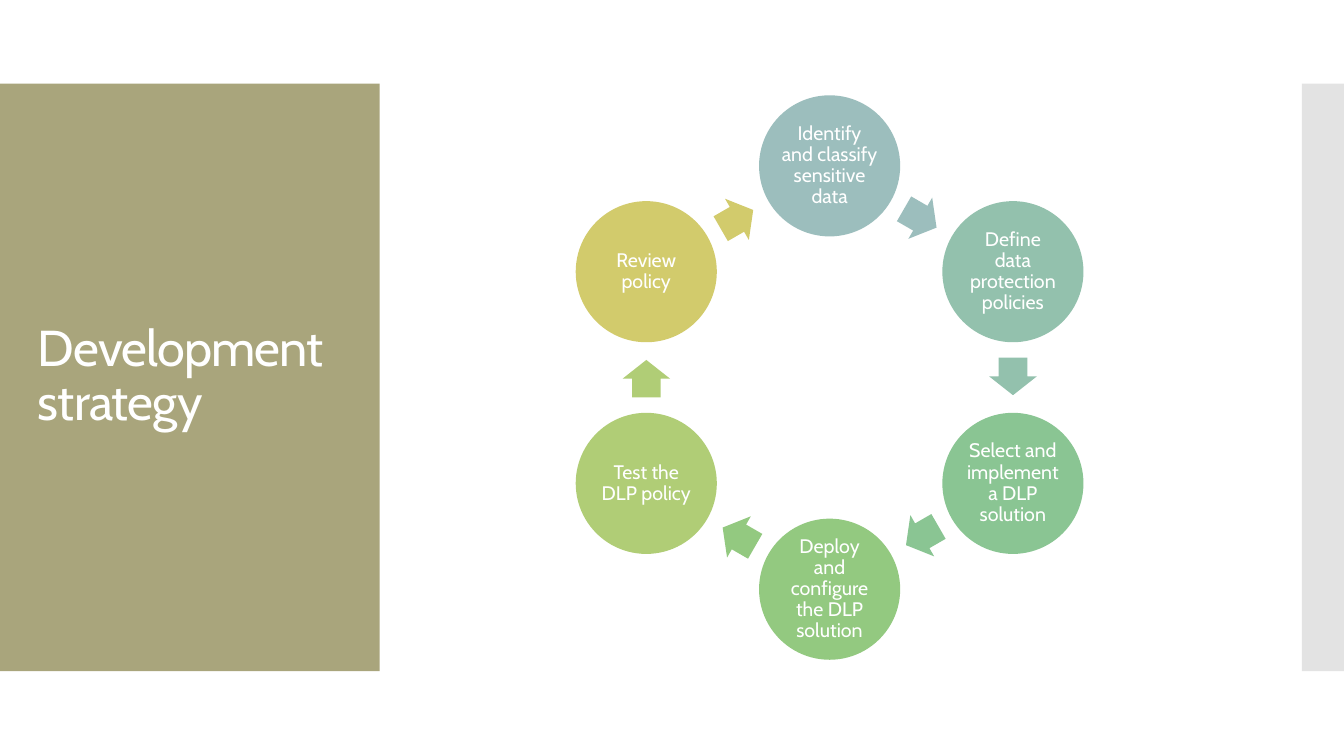
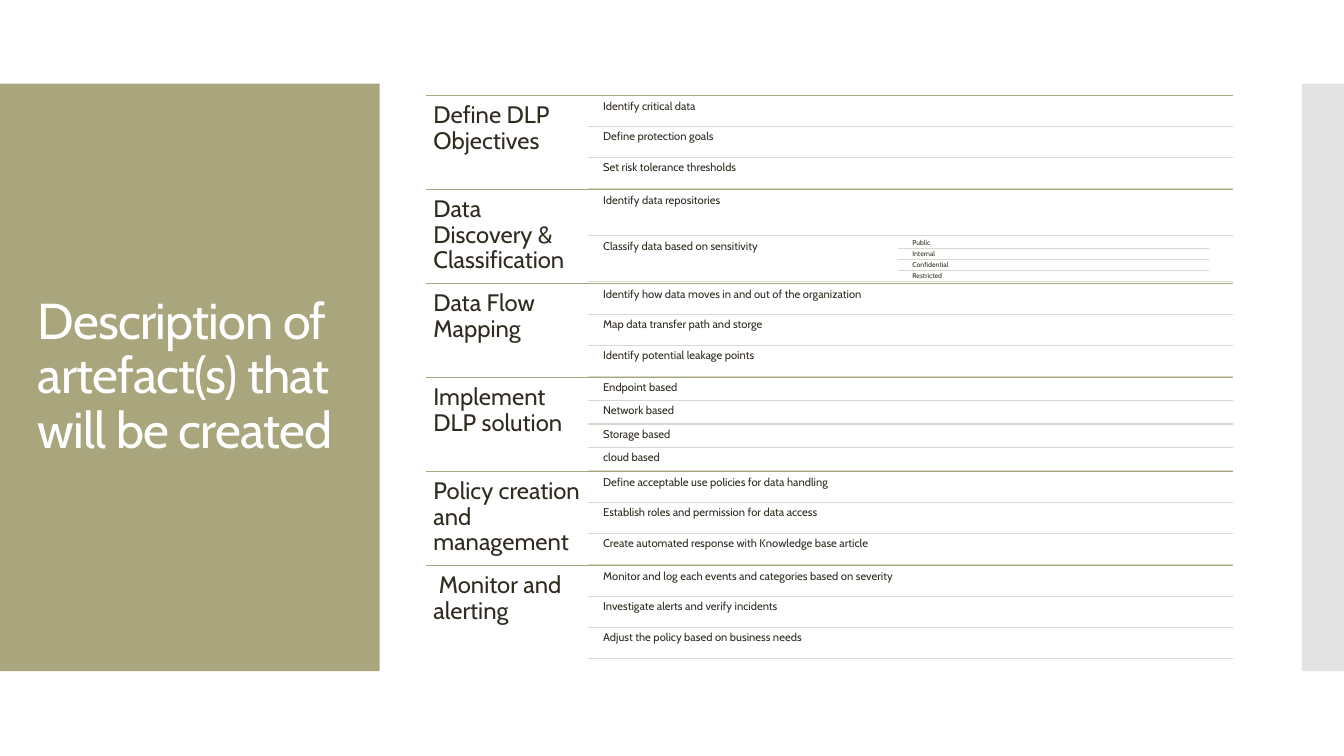
from math import cos, radians, sin

from lxml import etree
from pptx import Presentation
from pptx.dml import color
from pptx.enum import shapes, text
from pptx.oxml import ns
from pptx.util import Pt


class Theme:
    font = "Cabin"
    olive = color.RGBColor.from_string("A9A57C")
    pale = color.RGBColor.from_string("DAD8CC")
    grey = color.RGBColor.from_string("C8C8C8")
    dark = color.RGBColor.from_string("2F2B20")
    white = color.RGBColor.from_string("FFFFFF")
    cycle = ["9CBEBD", "93C1AD", "8AC593", "93C980", "B0CD76", "D2CB6C"]
    title, step, head, item, level = 36, 14, 17, 8, 5
    line = 0.85


def write(shape, words, size, tint, inset=None):
    """Put one run of styled text in a shape and return its paragraph."""
    frame = shape.text_frame
    frame.word_wrap = True
    if inset is not None:
        frame.margin_left = frame.margin_right = Pt(inset)
        frame.margin_top = frame.margin_bottom = Pt(inset)
    para = frame.paragraphs[0]
    para.line_spacing = 0.9
    run = para.add_run()
    run.text = words
    run.font.name = Theme.font
    run.font.size = Pt(size)
    run.font.color.rgb = tint
    return para


def rule(slide, left, right, top, tint):
    """Draw a level line."""
    line = slide.shapes.add_connector(
        shapes.MSO_CONNECTOR.STRAIGHT, Pt(left), Pt(top), Pt(right), Pt(top))
    line.line.color.rgb = tint
    line.line.width = Pt(Theme.line)
    etree.SubElement(line._element.spPr, ns.qn("a:effectLst"))


deck = Presentation()
deck.slide_width, deck.slide_height = Pt(960), Pt(540)

# Shared bands and titles
titles = ["Development strategy",
          "Description of artefact(s) that will be created"]
bands = [(0, 271.2, Theme.olive), (930, 30, Theme.grey)]
for title in titles:
    slide = deck.slides.add_slide(deck.slide_layouts[6])
    for left, width, tint in bands:
        band = slide.shapes.add_shape(
            shapes.MSO_SHAPE.RECTANGLE, Pt(left), Pt(59.8), Pt(width), Pt(419.6))
        band.shadow.inherit = False
        band.fill.solid()
        band.fill.fore_color.rgb = tint
        band.line.fill.background()
    # The right band is half clear
    tone = band._element.spPr.find(".//" + ns.qn("a:srgbClr"))
    etree.SubElement(tone, ns.qn("a:alpha"), val="50000")

    box = slide.shapes.add_textbox(Pt(20), Pt(88.5), Pt(232), Pt(362))
    box.text_frame.vertical_anchor = text.MSO_ANCHOR.MIDDLE
    para = write(box, title, Theme.title, Theme.white)
    para.runs[0].font._element.set("spc", "-60")

# Cycle of steps
slide = deck.slides[0]
steps = ["Identify and classify sensitive data",
         "Define data protection policies",
         "Select and implement a DLP solution",
         "Deploy and configure the DLP solution",
         "Test the DLP policy",
         "Review policy"]
mid_x, mid_y, radius, size = 592.6, 269.7, 151.2, 100.8
long, wide, back = 26.8, 34, 0.8
turn = 360 / len(steps)
reach = radius * cos(radians(turn / 2))
for i, (step, hue) in enumerate(zip(steps, Theme.cycle)):
    angle = radians(i * turn - 90)
    disc = slide.shapes.add_shape(
        shapes.MSO_SHAPE.OVAL,
        Pt(mid_x + radius * cos(angle) - size / 2),
        Pt(mid_y + radius * sin(angle) - size / 2), Pt(size), Pt(size))
    disc.text_frame.vertical_anchor = text.MSO_ANCHOR.MIDDLE
    para = write(disc, step, Theme.step, Theme.white, 1.4)
    para.alignment = text.PP_ALIGN.CENTER

    # Arrow halfway to the next step, set back a little
    angle += radians(turn / 2)
    arrow = slide.shapes.add_shape(
        shapes.MSO_SHAPE.RIGHT_ARROW,
        Pt(mid_x + reach * cos(angle) + back * sin(angle) - long / 2),
        Pt(mid_y + reach * sin(angle) - back * cos(angle) - wide / 2),
        Pt(long), Pt(wide))
    arrow.adjustments[0], arrow.adjustments[1] = 0.6, 0.5
    arrow.rotation = (i + 0.5) * turn

    for part in (disc, arrow):
        part.shadow.inherit = False
        part.fill.solid()
        part.fill.fore_color.rgb = color.RGBColor.from_string(hue)
        part.line.fill.background()

# List of parts, each with items and, at times, levels
slide = deck.slides[1]
parts = [
    ("Define DLP Objectives", [
        ("Identify critical data", []),
        ("Define protection goals", []),
        ("Set risk tolerance thresholds", [])]),
    ("Data Discovery & Classification", [
        ("Identify data repositories", []),
        ("Classify data based on sensitivity",
         ["Public", "Internal", "Confidential", "Restricted"])]),
    ("Data Flow Mapping", [
        ("Identify how data moves in and out of the organization", []),
        ("Map data transfer path and storge", []),
        ("Identify potential leakage points", [])]),
    ("Implement DLP solution", [
        ("Endpoint based", []),
        ("Network based", []),
        ("Storage based", []),
        ("cloud based", [])]),
    ("Policy creation and management", [
        ("Define acceptable use policies for data handling", []),
        ("Establish roles and permission for data access", []),
        ("Create automated response with Knowledge base article", [])]),
    (" Monitor and alerting", [
        ("Monitor and log each events and categories based on severity", []),
        ("Investigate alerts and verify incidents", []),
        ("Adjust the policy based on business needs", [])]),
]
left, right, top, pitch = 304.5, 880.6, 68.3, 67.15
split, width, indent = 419.8, 221.8, 8.6
for i, (head, items) in enumerate(parts):
    y = top + i * pitch
    rule(slide, left, right, y, Theme.olive)
    box = slide.shapes.add_textbox(Pt(left), Pt(y), Pt(split - left), Pt(pitch))
    write(box, head, Theme.head, Theme.dark, 5.1)

    # Gaps above, between and below items are a twentieth of their height
    tall = pitch / (1.05 * len(items) + 0.05)
    for j, (item, levels) in enumerate(items):
        y = top + i * pitch + tall * (0.05 + 1.05 * j)
        box = slide.shapes.add_textbox(
            Pt(split + indent), Pt(y), Pt(width), Pt(tall))
        write(box, item, Theme.item, Theme.dark, 2.4)
        rule(slide, split, right, y + tall, Theme.pale)

        start = split + indent + width
        for k, level in enumerate(levels):
            low = tall / len(levels)
            if k:
                rule(slide, start - indent, start - indent + width,
                     y + k * low, Theme.pale)
            box = slide.shapes.add_textbox(
                Pt(start), Pt(y + k * low), Pt(width), Pt(low))
            write(box, level, Theme.level, Theme.dark, 1.5)

deck.save("out.pptx")
